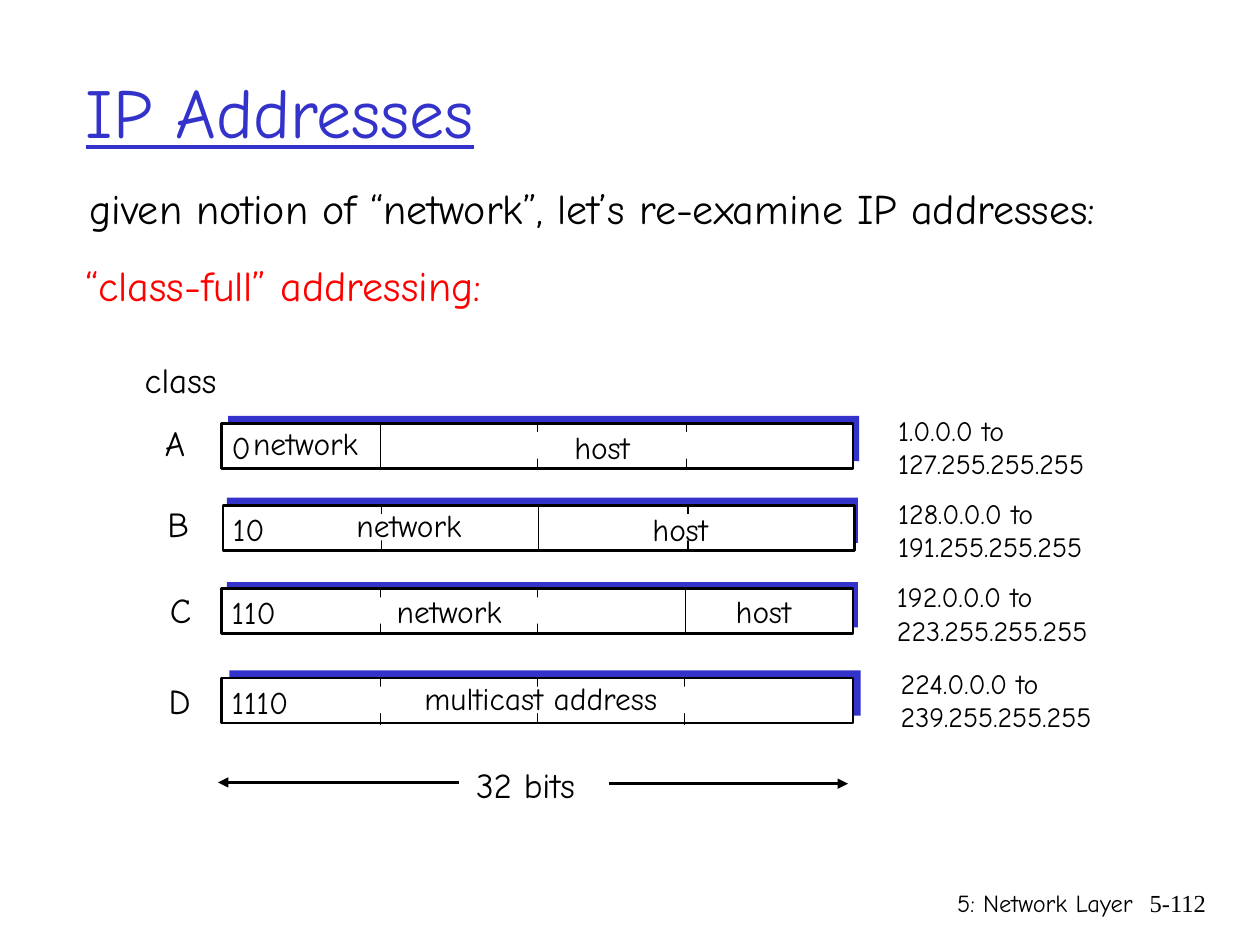
from dataclasses import dataclass

import pptx
import pptx.util
from lxml import etree
from pptx.dml.color import RGBColor
from pptx.enum.shapes import MSO_CONNECTOR, MSO_SHAPE
from pptx.enum.text import MSO_ANCHOR, MSO_AUTO_SIZE, PP_ALIGN
from pptx.oxml.ns import qn
from pptx.util import Inches

BLUE = RGBColor(0x33, 0x33, 0xCC)
BLACK = RGBColor(0, 0, 0)
WHITE = RGBColor(0xFF, 0xFF, 0xFF)
RED = RGBColor(0xFF, 0, 0)
FONT = "Comic Neue"
WIDE, HIGH = 5.01, 0.36


@dataclass
class Word:
    text: str
    left: float
    wide: float
    rise: float


@dataclass
class Row:
    name: str
    left: float
    top: float
    shade: tuple[float, float]
    code: Word
    words: list[Word]
    split: float | None
    ticks: list[float]
    label: tuple[float, float, float]
    span: tuple[str, str]
    place: tuple[float, float, float]


ROWS = [
    Row("A", 1.76, 3.36, (1.81, 3.3), Word("0", 1.74, 0.35, 0.01),
        [Word("network", 1.91, 1.15, 0.04), Word("host", 4.46, 0.72, 0.01)],
        3.02, [4.27, 5.45], (1.21, 3.3, 0.4),
        ("1.0.0.0 to", "127.255.255.255"), (7.03, 3.23, 1.96)),
    Row("B", 1.77, 4.01, (1.8, 3.95), Word("10", 1.75, 0.47, 0.01),
        [Word("network", 2.73, 1.15, 0.04), Word("host", 5.08, 0.72, 0.01)],
        4.28, [3.03, 5.46], (1.23, 3.94, 0.38),
        ("128.0.0.0 to", "191.255.255.255"), (7.03, 3.89, 1.92)),
    Row("C", 1.76, 4.67, (1.8, 4.62), Word("110", 1.74, 0.58, 0.01),
        [Word("network", 3.05, 1.15, 0.02), Word("host", 5.74, 0.72, 0.02)],
        5.44, [3.02, 4.27], (1.25, 4.62, 0.37),
        ("192.0.0.0 to", "223.255.255.255"), (7.02, 4.55, 1.99)),
    Row("D", 1.76, 5.38, (1.82, 5.32), Word("1110", 1.74, 0.69, 0.01),
        [Word("multicast address", 3.27, 2.28, 0.04)],
        None, [3.02, 4.27, 5.43], (1.24, 5.34, 0.4),
        ("224.0.0.0 to", "239.255.255.255"), (7.05, 5.24, 1.99)),
]


def style(para, size: float, color: RGBColor = BLACK, face: str = FONT) -> None:
    para.font.size = pptx.util.Pt(size)
    para.font.name = face
    para.font.color.rgb = color


def write(slide, lines: tuple[str, ...], left: float, top: float, wide: float,
          high: float, size: float, color: RGBColor = BLACK, face: str = FONT,
          wrap: bool = False, align: PP_ALIGN = PP_ALIGN.LEFT) -> None:
    frame = slide.shapes.add_textbox(
        Inches(left), Inches(top), Inches(wide), Inches(high)).text_frame
    frame.word_wrap = wrap
    frame.text = "\n".join(lines)
    for para in frame.paragraphs:
        para.alignment = align
        style(para, size, color, face)


def block(slide, left: float, top: float, wide: float, high: float,
          fill: RGBColor, edge: bool = False):
    shape = slide.shapes.add_shape(
        MSO_SHAPE.RECTANGLE, Inches(left), Inches(top), Inches(wide), Inches(high))
    shape.shadow.inherit = False
    shape.fill.solid()
    shape.fill.fore_color.rgb = fill
    if edge:
        shape.line.color.rgb = BLACK
        shape.line.width = pptx.util.Pt(1.5)
    else:
        shape.line.fill.background()
    return shape


def rule(slide, x: float, y: float, to_x: float, to_y: float, width: float):
    line = slide.shapes.add_connector(
        MSO_CONNECTOR.STRAIGHT, Inches(x), Inches(y), Inches(to_x), Inches(to_y))
    line.line.color.rgb = BLACK
    line.line.width = pptx.util.Pt(width)
    etree.SubElement(line._element.spPr, qn("a:effectLst"))
    return line


def arrow(slide, x: float, to_x: float, y: float) -> None:
    line = rule(slide, x, y, to_x, y, 1.5)
    etree.SubElement(line.line._get_or_add_ln(), qn("a:tailEnd"), type="triangle")


def mark(slide, bar, row: Row, x: float) -> None:
    line = rule(slide, x, row.top, x, row.top + 0.37, 0.75)
    if abs(x - row.left - WIDE / 2) < 0.02:
        line.begin_connect(bar, 0)
        line.end_connect(bar, 2)


def draw(slide, row: Row) -> None:
    block(slide, *row.shade, WIDE, HIGH, BLUE)
    bar = block(slide, row.left, row.top, WIDE, HIGH, WHITE, True)
    if row.split is not None:
        mark(slide, bar, row, row.split)
    for x in row.ticks:
        mark(slide, bar, row, x)
        block(slide, x - 0.06, row.top + 0.07, 0.1, 0.21, WHITE)
    for word in [row.code, *row.words]:
        write(slide, (word.text,), word.left, row.top - word.rise,
              word.wide, 0.4, 18)
    write(slide, (row.name,), *row.label, 0.43, 20)
    write(slide, row.span, *row.place, 0.64, 16)


def place(shape, left: float, top: float, wide: float, high: float) -> None:
    shape.left, shape.top = Inches(left), Inches(top)
    shape.width, shape.height = Inches(wide), Inches(high)


def head(slide) -> None:
    title = slide.shapes.title
    place(title, 0.58, 0.25, 8.5, 1.25)
    frame = title.text_frame
    frame.text = "IP Addresses"
    frame.auto_size = MSO_AUTO_SIZE.NONE
    frame.vertical_anchor = MSO_ANCHOR.MIDDLE
    para = frame.paragraphs[0]
    para.alignment = PP_ALIGN.LEFT
    style(para, 40, BLUE)
    para.font.underline = True


def intro(slide) -> None:
    body = slide.placeholders[1]
    place(body, 0.61, 1.4, 9.07, 0.55)
    frame = body.text_frame
    frame.text = "given notion of “network”, let’s re-examine IP addresses:"
    frame.auto_size = MSO_AUTO_SIZE.NONE
    para = frame.paragraphs[0]
    props = para._p.get_or_add_pPr()
    props.set("marL", str(Inches(0.38)))
    props.set("indent", str(Inches(-0.38)))
    etree.SubElement(props, qn("a:buNone"))
    para.space_before = pptx.util.Pt(0)
    style(para, 24)


def main() -> None:
    deck = pptx.Presentation()
    deck.slide_width, deck.slide_height = Inches(10), Inches(7.5)
    slide = deck.slides.add_slide(deck.slide_layouts[1])
    head(slide)
    intro(slide)
    write(slide, ("“class-full” addressing:",), 0.58, 2.01, 4.56, 0.5, 24, RED,
          wrap=True)
    write(slide, ("class",), 1.05, 2.8, 0.83, 0.43, 20)
    for row in ROWS:
        draw(slide, row)
    write(slide, ("32 bits",), 3.68, 6.01, 1.13, 0.43, 20)
    arrow(slide, 4.83, 6.73, 6.22)
    arrow(slide, 3.64, 1.73, 6.21)
    write(slide, ("5: Network Layer",), 5.92, 7, 3.17, 0.5, 14,
          wrap=True, align=PP_ALIGN.RIGHT)
    write(slide, ("5-112",), 8.93, 7, 0.74, 0.5, 14, face="Times New Roman",
          wrap=True, align=PP_ALIGN.RIGHT)
    deck.save("out.pptx")


if __name__ == "__main__":
    main()
